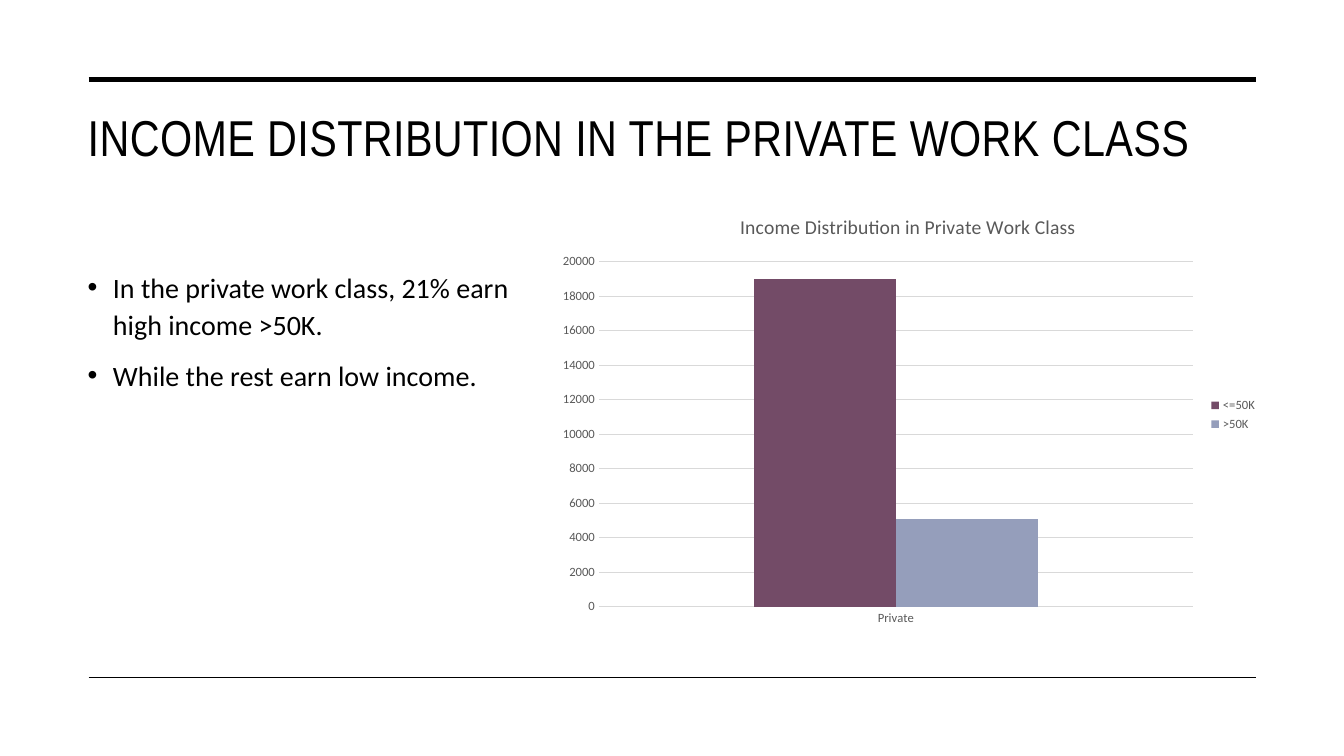
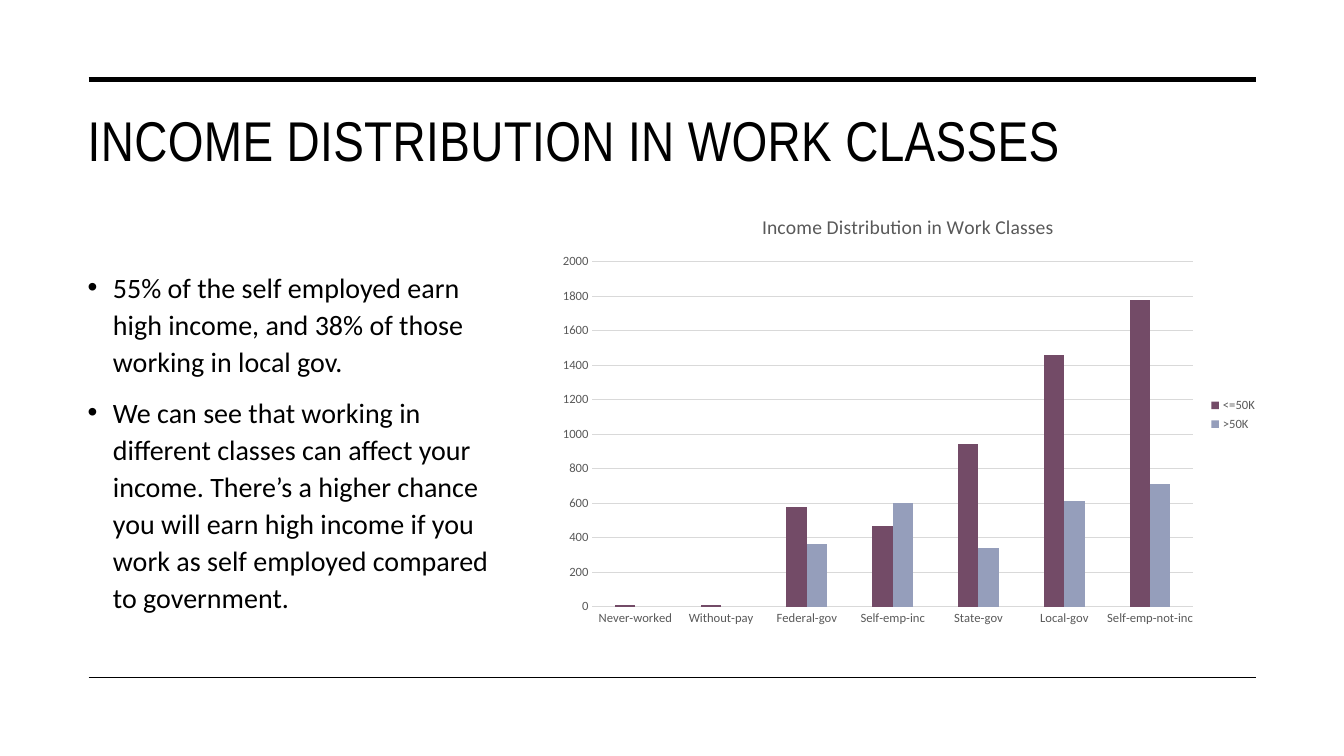
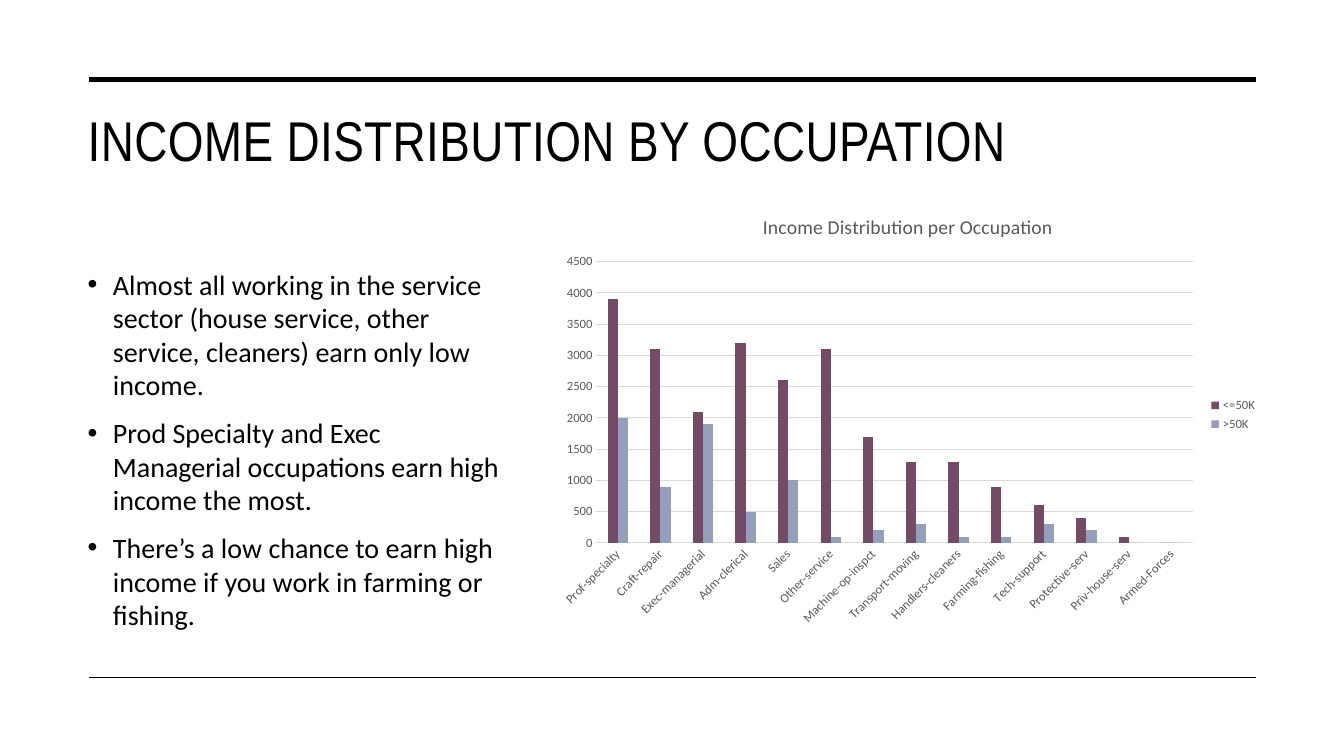
from lxml import etree
from pptx import Presentation
from pptx.chart.data import CategoryChartData
from pptx.dml.color import RGBColor
from pptx.enum.chart import XL_CHART_TYPE, XL_LEGEND_POSITION, XL_TICK_MARK
from pptx.enum.shapes import MSO_CONNECTOR
from pptx.enum.text import MSO_ANCHOR, MSO_AUTO_SIZE, PP_ALIGN
from pptx.oxml.ns import qn
from pptx.util import Inches, Pt

COLUMN = XL_CHART_TYPE.COLUMN_CLUSTERED
RIGHT = XL_LEGEND_POSITION.RIGHT
NO_TICK = XL_TICK_MARK.NONE
STRAIGHT = MSO_CONNECTOR.STRAIGHT
TOP = MSO_ANCHOR.TOP
NO_FIT = MSO_AUTO_SIZE.NONE
LEFT = PP_ALIGN.LEFT

COLORS = {
    "ink": "000000",
    "label": "595959",
    "grid": "D9D9D9",
    "low": "734B67",
    "high": "959EBB",
}
HEAD, BODY = "Arial Narrow", "Calibri"

SLIDES = [
    {
        "title": "INCOME DISTRIBUTION IN THE PRIVATE WORK CLASS",
        "size": 36,
        "space": 1.1,
        "points": [
            "In the private work class, 21% earn high income >50K.",
            "While the rest earn low income.",
        ],
        "chart": "Income Distribution in Private Work Class",
        "rows": [("Private", 19000, 5100)],
    },
    {
        "title": "INCOME DISTRIBUTION IN WORK CLASSES",
        "size": 40,
        "space": 1.1,
        "points": [
            "55% of the self employed earn high income, and 38% of those "
            "working in local gov.",
            "We can see that working in different classes can affect your "
            "income. There’s a higher chance you will earn high income if "
            "you work as self employed compared to government.",
        ],
        "chart": "Income Distribution in Work Classes",
        "rows": [
            ("Never-worked", 10, None),
            ("Without-pay", 10, None),
            ("Federal-gov", 580, 360),
            ("Self-emp-inc", 470, 600),
            ("State-gov", 940, 340),
            ("Local-gov", 1460, 610),
            ("Self-emp-not-inc", 1780, 710),
        ],
    },
    {
        "title": "INCOME DISTRIBUTION BY OCCUPATION",
        "size": 40,
        "space": 1.0,
        "points": [
            "Almost all working in the service sector (house service, other "
            "service, cleaners) earn only low income.",
            "Prod Specialty and Exec Managerial occupations earn high "
            "income the most.",
            "There’s a low chance to earn high income if you work in "
            "farming or fishing.",
        ],
        "chart": "Income Distribution per Occupation",
        "rows": [
            ("Prof-specialty", 3900, 2000),
            ("Craft-repair", 3100, 900),
            ("Exec-managerial", 2100, 1900),
            ("Adm-clerical", 3200, 500),
            ("Sales", 2600, 1000),
            ("Other-service", 3100, 100),
            ("Machine-op-inspct", 1700, 200),
            ("Transport-moving", 1300, 300),
            ("Handlers-cleaners", 1300, 100),
            ("Farming-fishing", 900, 100),
            ("Tech-support", 600, 300),
            ("Protective-serv", 400, 200),
            ("Priv-house-serv", 100, 0),
            ("Armed-Forces", 0, 0),
        ],
    },
]


def color(name):
    """Return a palette colour."""
    return RGBColor.from_string(COLORS[name])


def style(font, size, tint, face=BODY):
    """Set the size, colour and face of a font."""
    font.size = Pt(size)
    font.name = face
    font.bold = False
    font.color.rgb = color(tint)


def place(shape, left, top, width, height):
    """Move a placeholder and fix its frame."""
    shape.left, shape.top = Inches(left), Inches(top)
    shape.width, shape.height = Inches(width), Inches(height)
    frame = shape.text_frame
    frame.auto_size = NO_FIT
    frame.word_wrap = True
    frame.vertical_anchor = TOP
    return frame


def add_rule(slide, y, weight):
    """Draw a rule across the page."""
    rule = slide.shapes.add_connector(
        STRAIGHT, Inches(0.88), Inches(y), Inches(12.46), Inches(y))
    rule.line.color.rgb = color("ink")
    rule.line.width = Pt(weight)
    etree.SubElement(rule._element.spPr, qn("a:effectLst"))


def add_title(slide, text, size):
    """Fill the title placeholder."""
    frame = place(slide.shapes.title, 0.77, 1, 11.69, 1.43)
    frame.text = text
    para = frame.paragraphs[0]
    para.alignment = LEFT
    run = para.runs[0]
    style(run.font, size, "ink", HEAD)
    run.font._element.set("spc", "30")


def add_points(slide, points, space):
    """Fill the body placeholder with bullets."""
    frame = place(slide.placeholders[1], 0.77, 2.6, 4.39, 3.92)
    frame.text = "\n".join(points)
    for i, para in enumerate(frame.paragraphs):
        para.line_spacing = space
        para.space_before = Pt(10 if i else 0)
        props = para._p.get_or_add_pPr()
        props.set("marL", str(Inches(0.25)))
        props.set("indent", str(-Inches(0.25)))
        etree.SubElement(props, qn("a:buChar")).set("char", "•")
        style(para.runs[0].font, 20, "ink")


def style_axis(axis):
    """Give an axis small grey labels and no ticks."""
    axis.major_tick_mark = axis.minor_tick_mark = NO_TICK
    style(axis.tick_labels.font, 9, "label")
    axis._element.txPr.bodyPr.set("rot", "-60000000")


def add_chart(slide, title, rows):
    """Add the column chart of both income groups."""
    names, low, high = zip(*rows)
    data = CategoryChartData()
    data.categories = names
    data.add_series("<=50K", low)
    data.add_series(">50K", high)
    chart = slide.shapes.add_chart(
        COLUMN, Inches(5.44), Inches(1.94), Inches(7.13), Inches(4.35),
        data).chart
    style(chart.font, 10, "ink")

    chart.has_title = True
    chart.chart_title.include_in_layout = False
    frame = chart.chart_title.text_frame
    frame.text = title
    style(frame.paragraphs[0].runs[0].font, 14, "label")

    chart.has_legend = True
    chart.legend.position = RIGHT
    chart.legend.include_in_layout = False
    style(chart.legend.font, 9, "label")

    cats, vals = chart.category_axis, chart.value_axis
    for axis in (cats, vals):
        style_axis(axis)
    vals.format.line.fill.background()
    vals.has_major_gridlines = True
    for line in (cats.format.line, vals.major_gridlines.format.line):
        line.color.rgb = color("grid")
        line.width = Pt(0.75)

    plot = chart.plots[0]
    plot.gap_width = 219
    plot.overlap = 0
    plot.vary_by_categories = False
    for series, tint in zip(plot.series, ("low", "high")):
        series.format.fill.solid()
        series.format.fill.fore_color.rgb = color(tint)


def main():
    """Build and save the deck."""
    deck = Presentation()
    deck.slide_width, deck.slide_height = Inches(13.33), Inches(7.5)
    for item in SLIDES:
        slide = deck.slides.add_slide(deck.slide_layouts[1])
        add_rule(slide, 0.79, 3.5)
        add_rule(slide, 6.72, 1)
        add_title(slide, item["title"], item["size"])
        add_points(slide, item["points"], item["space"])
        add_chart(slide, item["chart"], item["rows"])
    deck.save("out.pptx")


if __name__ == "__main__":
    main()
